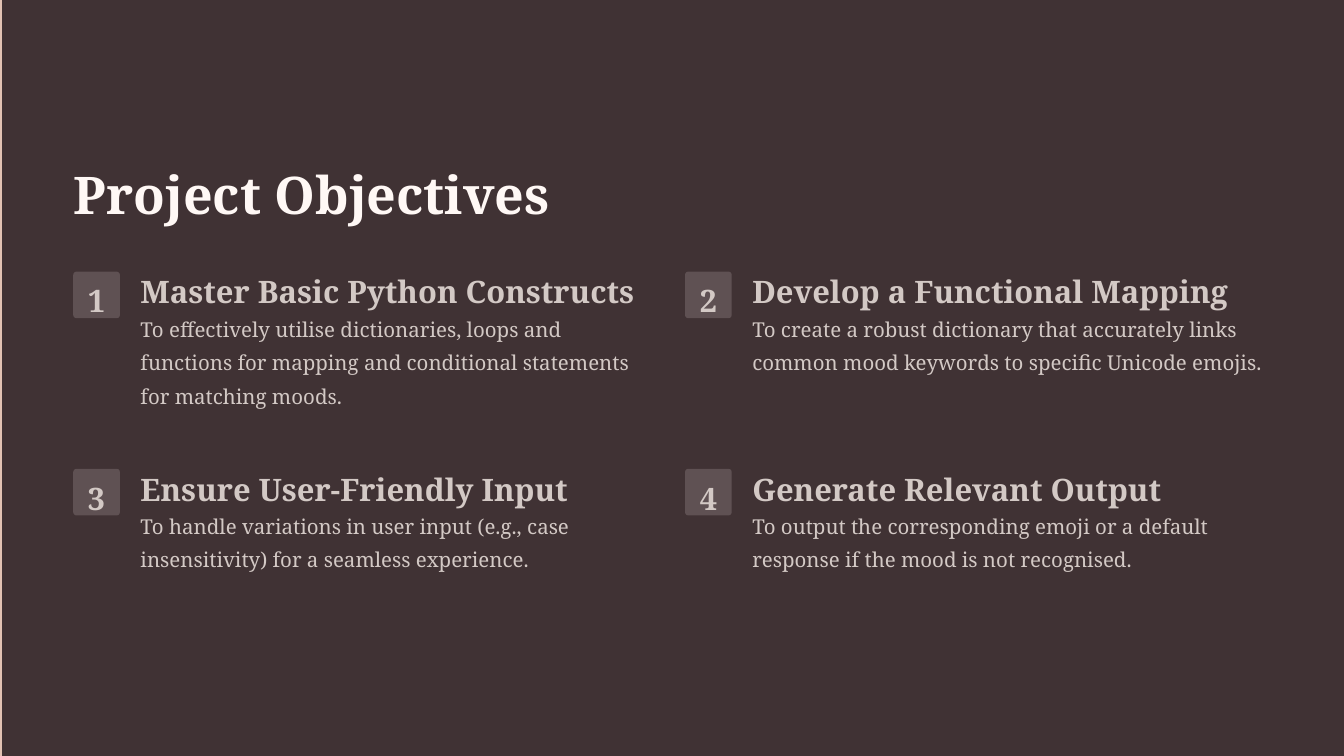
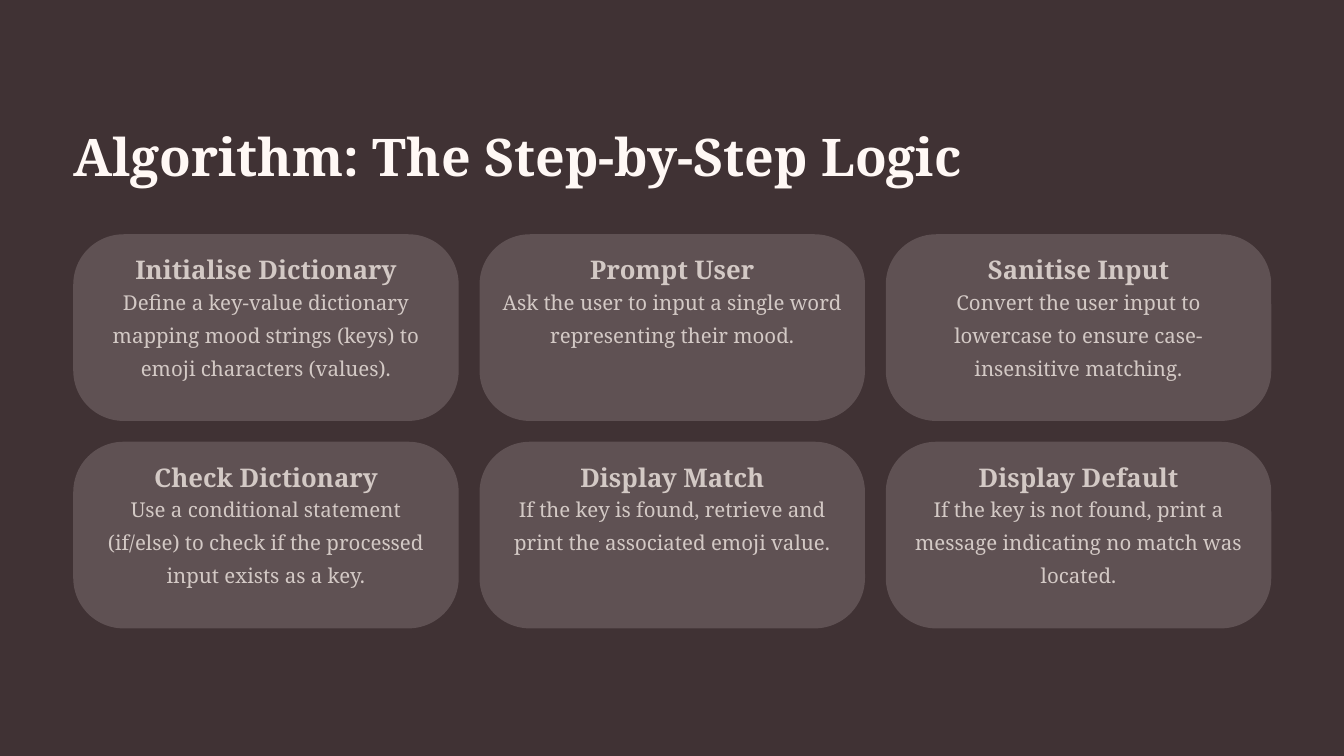
from pptx import Presentation
from pptx.dml.color import RGBColor
from pptx.enum import shapes, text
from pptx.util import Pt

BACKGROUND = RGBColor(0x40, 0x32, 0x34)
EDGE = RGBColor(0xE2, 0xC2, 0xB3)
PANEL = RGBColor(0x5F, 0x51, 0x53)
TITLE = RGBColor(0xFF, 0xF8, 0xF5)
BODY = RGBColor(0xD3, 0xC9, 0xC5)
FONT = "Noto Serif"

SLIDE_WIDTH, SLIDE_HEIGHT = 1440, 810
MARGIN = 78.5
TITLE_ONLY = 5

OBJECTIVES = [
    ("Master Basic Python Constructs",
     "To effectively utilise dictionaries, loops and functions for mapping "
     "and conditional statements for matching moods."),
    ("Develop a Functional Mapping",
     "To create a robust dictionary that accurately links common mood "
     "keywords to specific Unicode emojis."),
    ("Ensure User-Friendly Input",
     "To handle variations in user input (e.g., case insensitivity) for a "
     "seamless experience."),
    ("Generate Relevant Output",
     "To output the corresponding emoji or a default response if the mood "
     "is not recognised."),
]

STEPS = [
    ("Initialise Dictionary",
     "Define a key-value dictionary mapping mood strings (keys) to emoji "
     "characters (values)."),
    ("Prompt User",
     "Ask the user to input a single word representing their mood."),
    ("Sanitise Input",
     "Convert the user input to lowercase to ensure case-insensitive matching."),
    ("Check Dictionary",
     "Use a conditional statement (if/else) to check if the processed input "
     "exists as a key."),
    ("Display Match",
     "If the key is found, retrieve and print the associated emoji value."),
    ("Display Default",
     "If the key is not found, print a message indicating no match was located."),
]


class Deck:
    """Holds the presentation, its style and the current slide."""

    def __init__(self):
        self.presentation = Presentation()
        self.presentation.slide_width = Pt(SLIDE_WIDTH)
        self.presentation.slide_height = Pt(SLIDE_HEIGHT)
        self.slide = None

    def add_slide(self, title, top, width):
        layout = self.presentation.slide_layouts[TITLE_ONLY]
        self.slide = self.presentation.slides.add_slide(layout)
        fill = self.slide.background.fill
        fill.solid()
        fill.fore_color.rgb = BACKGROUND
        shape = self.slide.shapes.title
        shape.left, shape.top = Pt(MARGIN), Pt(top)
        shape.width, shape.height = Pt(width), Pt(75)
        self.set_text(shape, title, 55.6, 69.4, color=TITLE, bold=True)

    def set_text(self, shape, words, size, spacing, color=BODY, bold=False, centred=False):
        frame = shape.text_frame
        frame.text = words
        frame.word_wrap = True
        frame.auto_size = text.MSO_AUTO_SIZE.NONE
        frame.vertical_anchor = text.MSO_ANCHOR.TOP
        frame.margin_left = frame.margin_top = 0
        frame.margin_right = frame.margin_bottom = 0
        paragraph = frame.paragraphs[0]
        paragraph.alignment = text.PP_ALIGN.CENTER if centred else text.PP_ALIGN.LEFT
        paragraph.line_spacing = Pt(spacing)
        font = paragraph.runs[0].font
        font.name, font.size, font.bold = FONT, Pt(size), bold
        font.color.rgb = color

    def add_text(self, left, top, width, height, words, size, spacing, **style):
        box = self.slide.shapes.add_textbox(Pt(left), Pt(top), Pt(width), Pt(height))
        self.set_text(box, words, size, spacing, **style)

    def add_body(self, left, top, width, words, centred=False):
        self.add_text(left, top, width, 128, words, 21.9, 35.6, centred=centred)

    def add_block(self, left, top, width, height, color, corner=None):
        kind = shapes.MSO_SHAPE.RECTANGLE if corner is None else shapes.MSO_SHAPE.ROUNDED_RECTANGLE
        shape = self.slide.shapes.add_shape(kind, Pt(left), Pt(top), Pt(width), Pt(height))
        if corner is not None:
            shape.adjustments[0] = corner
        shape.shadow.inherit = False
        shape.fill.solid()
        shape.fill.fore_color.rgb = color
        shape.line.fill.background()

    def add_objective(self, left, top, number, heading, body):
        self.add_block(left, top, 50, 50, PANEL, corner=0.07)
        self.add_text(left + 8, top + 17.8, 34, 28, str(number), 33.1, 33.1,
                      bold=True, centred=True)
        self.add_text(left + 72, top, 541, 46, heading, 33.1, 41.2, bold=True)
        self.add_body(left + 72, top + 39.5, 555, body)

    def add_card(self, left, top, width, height, heading, body):
        self.add_block(left, top, width, height, PANEL, corner=0.27)
        heading_width, inset = 280, 22.3
        self.add_text(left + (width - heading_width) / 2, top + 19.8, heading_width, 37.5,
                      heading, 27.5, 34.4, bold=True, centred=True)
        self.add_body(left + inset, top + 50, width - 2 * inset, body, centred=True)


def main():
    deck = Deck()

    # Objectives: numbered items in two columns
    deck.add_slide("Project Objectives", top=171.4, width=558)
    deck.add_block(0, 0, 2, SLIDE_HEIGHT, EDGE)
    for index, (heading, body) in enumerate(OBJECTIVES):
        row, column = divmod(index, 2)
        deck.add_objective(MARGIN + column * 655.5, 291 + row * 211.3,
                           index + 1, heading, body)

    # Algorithm: cards in three columns
    deck.add_slide("Algorithm: The Step-by-Step Logic", top=131, width=972)
    card_width, card_height, gap = 413, 200, 22.3
    for index, (heading, body) in enumerate(STEPS):
        row, column = divmod(index, 3)
        deck.add_card(MARGIN + column * (card_width + gap), 251 + row * (card_height + gap),
                      card_width, card_height, heading, body)

    deck.presentation.save("out.pptx")


if __name__ == "__main__":
    main()
